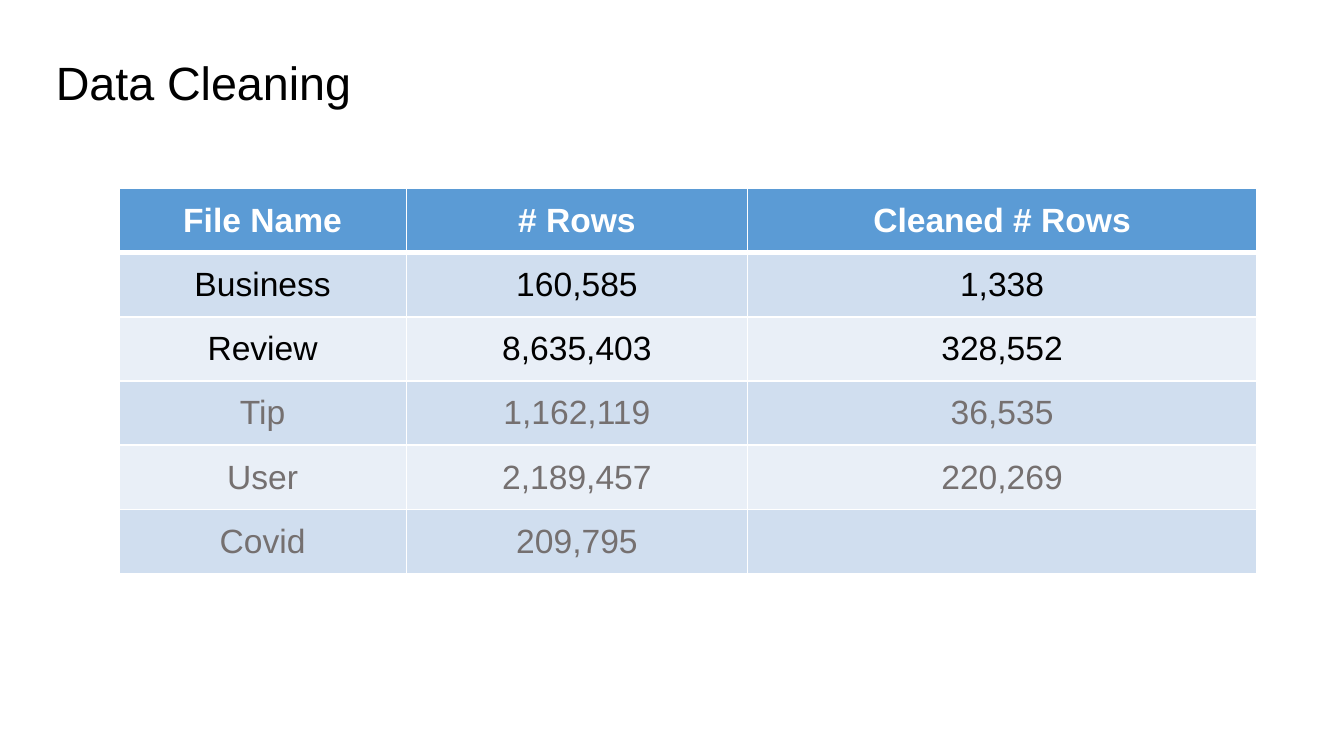
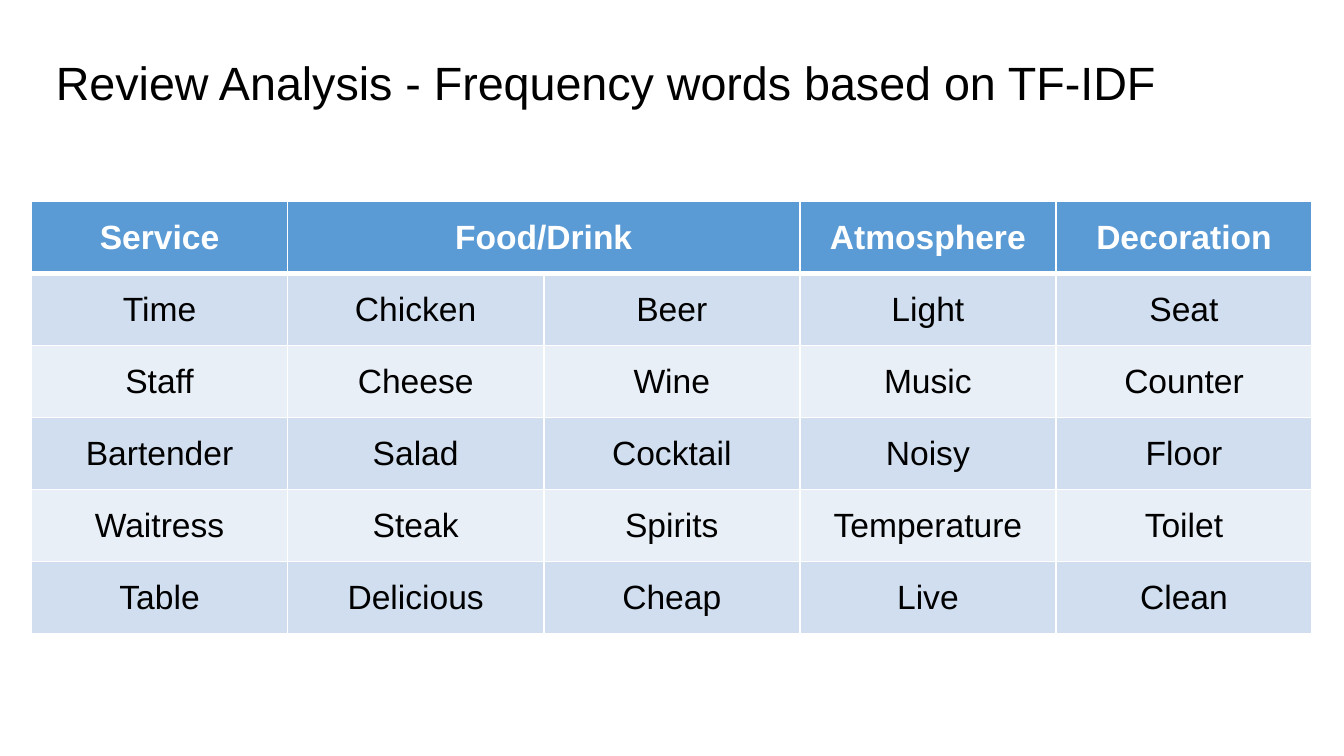
"""Build two slides, each with a title and a banded table."""
from dataclasses import dataclass
from typing import Optional

from lxml.etree import SubElement
from pptx import Presentation
from pptx.dml.color import RGBColor
from pptx.enum.text import MSO_ANCHOR, MSO_AUTO_SIZE, PP_ALIGN
from pptx.oxml.ns import qn
from pptx.util import Pt

FONT = "Arial"
COLORS = {
    "head": "5B9BD5",
    "odd": "D0DEEF",
    "even": "E9EFF7",
    "white": "FFFFFF",
    "black": "000000",
    "gray": "757070",
}


@dataclass
class Grid:
    title: str
    left: float
    top: float
    cols: list[float]
    high: float
    rows: list[list[Optional[str]]]
    gray: tuple[int, ...] = ()


PAGES = [
    Grid("Data Cleaning", 63.7, 101, [154, 182.8, 272.8], 34.4, [
        ["File Name", "# Rows", "Cleaned # Rows"],
        ["Business", "160,585", "1,338"],
        ["Review", "8,635,403", "328,552"],
        ["Tip", "1,162,119", "36,535"],
        ["User", "2,189,457", "220,269"],
        ["Covid", "209,795", ""],
    ], gray=(3, 4, 5)),
    Grid("Review Analysis - Frequency words based on TF-IDF",
         16.9, 108, [137.2] * 5, 38.6, [
             ["Service", "Food/Drink", None, "Atmosphere", "Decoration"],
             ["Time", "Chicken", "Beer", "Light", "Seat"],
             ["Staff", "Cheese", "Wine", "Music", "Counter"],
             ["Bartender", "Salad", "Cocktail", "Noisy", "Floor"],
             ["Waitress", "Steak", "Spirits", "Temperature", "Toilet"],
             ["Table", "Delicious", "Cheap", "Live", "Clean"],
         ]),
]


def color(name: str) -> RGBColor:
    return RGBColor.from_string(COLORS[name])


def write(frame, text: str, *, size: float = 18, tint: str = "black",
          bold: bool = False, align=PP_ALIGN.CENTER, space: float = 1) -> None:
    para = frame.paragraphs[0]
    para.alignment = align
    para.line_spacing = space
    if not text:
        para.font.size = Pt(size)
        return
    run = para.add_run()
    run.text = text
    font = run.font
    font.name, font.size, font.bold = FONT, Pt(size), bold
    font.color.rgb = color(tint)


def edge(cell, side: str, width: float) -> None:
    line = SubElement(cell._tc.get_or_add_tcPr(), qn(f"a:ln{side}"), w=str(Pt(width)))
    fill = SubElement(line, qn("a:solidFill"))
    SubElement(fill, qn("a:srgbClr"), val=COLORS["white"])


def add_title(slide, text: str) -> None:
    title = slide.shapes.title
    title.left, title.top, title.width, title.height = map(Pt, (24.5, 23, 671, 45.4))
    frame = title.text_frame
    frame.word_wrap = True
    frame.auto_size = MSO_AUTO_SIZE.NONE
    frame.vertical_anchor = MSO_ANCHOR.MIDDLE
    frame.margin_left = frame.margin_right = Pt(5.4)
    frame.margin_top = frame.margin_bottom = Pt(2.7)
    write(frame, text, size=25, align=PP_ALIGN.LEFT, space=0.9)


def style(cell, text: str, row: int, gray: bool) -> None:
    head = row == 0
    cell.vertical_anchor = MSO_ANCHOR.MIDDLE
    cell.margin_left = cell.margin_right = Pt(5.6)
    cell.margin_top = cell.margin_bottom = Pt(2.8)
    thick = {"T": 3 if row == 1 else 1, "B": 3 if head else 1}
    for side in "LRTB":
        edge(cell, side, thick.get(side, 1))
    cell.fill.solid()
    cell.fill.fore_color.rgb = color("head" if head else "odd" if row % 2 else "even")
    tint = "white" if head else "gray" if gray else "black"
    write(cell.text_frame, text, tint=tint, bold=head)


def add_grid(slide, grid: Grid) -> None:
    count = len(grid.rows)
    table = slide.shapes.add_table(
        count, len(grid.cols), Pt(grid.left), Pt(grid.top),
        Pt(sum(grid.cols)), Pt(grid.high * count)).table
    for col, width in zip(table.columns, grid.cols):
        col.width = Pt(width)
    for r, words in enumerate(grid.rows):
        table.rows[r].height = Pt(grid.high)
        for c, word in enumerate(words):
            cell = table.cell(r, c)
            style(cell, word or "", r, r in grid.gray)
            if word is None:
                table.cell(r, c - 1).merge(cell)


def main() -> None:
    deck = Presentation()
    deck.slide_width, deck.slide_height = Pt(720), Pt(405)
    for grid in PAGES:
        slide = deck.slides.add_slide(deck.slide_layouts[5])
        add_title(slide, grid.title)
        add_grid(slide, grid)
    deck.save("out.pptx")


if __name__ == "__main__":
    main()
